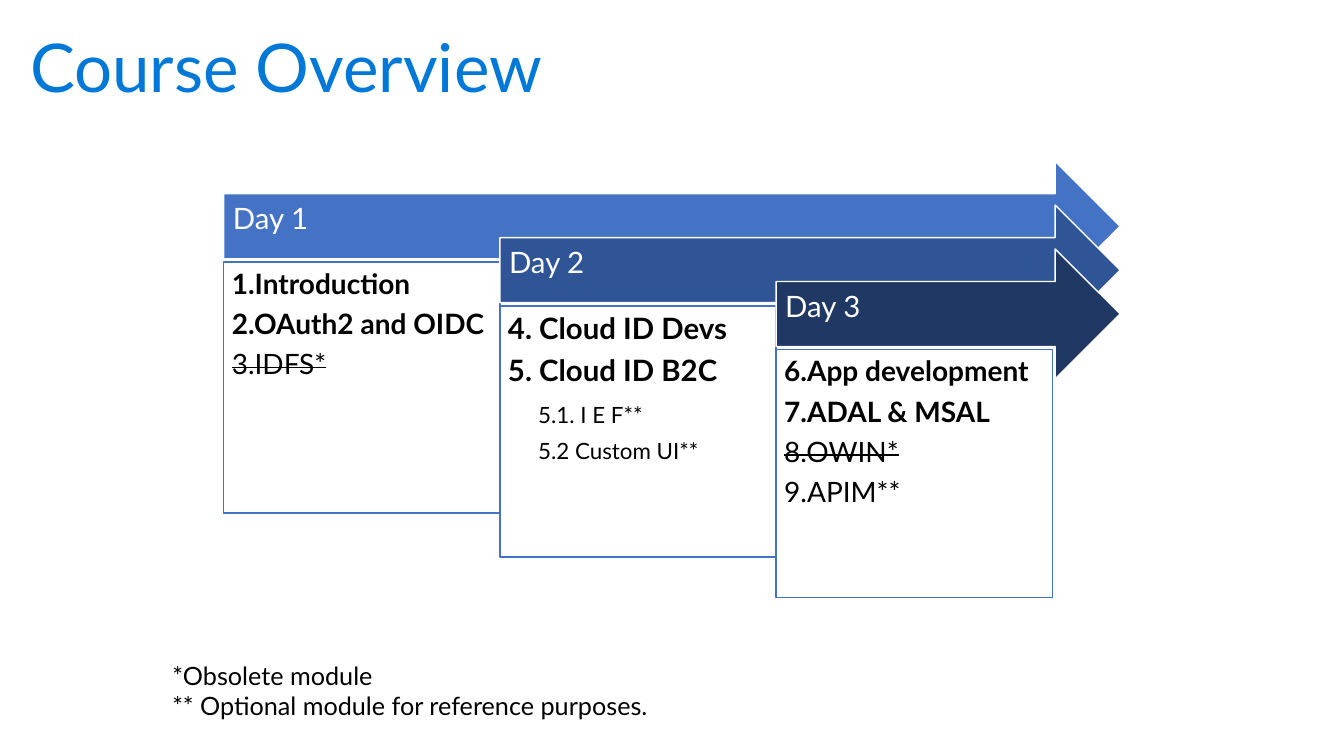
from dataclasses import dataclass

from pptx import Presentation
from pptx.dml.color import RGBColor
from pptx.enum.shapes import MSO_SHAPE
from pptx.enum.text import MSO_ANCHOR, PP_ALIGN
from pptx.util import Inches, Pt

ARROW, RECT = MSO_SHAPE.RIGHT_ARROW, MSO_SHAPE.RECTANGLE
TOP, MIDDLE = MSO_ANCHOR.TOP, MSO_ANCHOR.MIDDLE
LEFT = PP_ALIGN.LEFT
WIDTH, HEIGHT = 13.33, 7.5


@dataclass(frozen=True)
class Theme:
    font: str = "Lato"
    title: str = "0078D7"
    accent: str = "4472C4"
    days: tuple = ("4472C4", "2F5597", "203864")
    light: str = "FFFFFF"
    dark: str = "000000"
    title_size: int = 48
    label_size: int = 21
    sub_size: int = 16
    note_size: int = 18


@dataclass
class Line:
    text: str
    bold: bool = False
    strike: bool = False
    sub: bool = False


class Deck:
    """Places elements by percent of the slide's width and height."""

    def __init__(self, theme):
        self.theme = theme
        self.prs = Presentation()
        self.prs.slide_width, self.prs.slide_height = Inches(WIDTH), Inches(HEIGHT)
        self.s = self.prs.slides.add_slide(self.prs.slide_layouts[6])

    def box(self, x, y, w, h):
        return [Inches(v * side / 100)
                for v, side in ((x, WIDTH), (y, HEIGHT), (w, WIDTH), (h, HEIGHT))]

    def frame(self, sp, anchor, insets):
        tf = sp.text_frame
        tf.word_wrap = True
        tf.vertical_anchor = anchor
        tf.margin_left, tf.margin_top, tf.margin_right, tf.margin_bottom = map(Inches, insets)
        return tf

    def paragraph(self, tf, index, line, size, color, spacing=None):
        p = tf.add_paragraph() if index else tf.paragraphs[0]
        p.alignment = LEFT
        p.line_spacing = spacing
        p.font.name, p.font.size, p.font.bold = self.theme.font, Pt(size), line.bold
        p.font.color.rgb = RGBColor.from_string(color)
        r = p.add_run()
        r.text = line.text
        if line.strike:
            r._r.get_or_add_rPr().set("strike", "sngStrike")
        return p

    def text(self, area, texts, size, color, anchor=TOP, spacing=None):
        sp = self.s.shapes.add_textbox(*self.box(*area))
        tf = self.frame(sp, anchor, (0.1, 0.05, 0.1, 0.05))
        for i, text in enumerate(texts):
            self.paragraph(tf, i, Line(text), size, color, spacing)

    def shape(self, kind, area, fill, line):
        sp = self.s.shapes.add_shape(kind, *self.box(*area))
        sp.shadow.inherit = False
        sp.fill.solid()
        sp.fill.fore_color.rgb = RGBColor.from_string(fill)
        sp.line.color.rgb = RGBColor.from_string(line)
        sp.line.width = Pt(1)
        return sp

    def arrow(self, area, label, fill):
        t = self.theme
        sp = self.shape(ARROW, area, fill, t.light)
        tf = self.frame(sp, MIDDLE, (0.09, 0.09, 0.28, 0.21))
        self.paragraph(tf, 0, Line(label), t.label_size, t.light, 0.9)

    def card(self, area, lines, size):
        t = self.theme
        sp = self.shape(RECT, area, t.light, t.accent)
        tf = self.frame(sp, TOP, (0.08,) * 4)
        for i, line in enumerate(lines):
            p = self.paragraph(tf, i, line, t.sub_size if line.sub else size, t.dark, 0.9)
            p.space_after = Pt(0.35 * size)
            if line.sub:
                p.space_before, p.space_after = Pt(4.5), Pt(4.2)
                p._p.get_or_add_pPr().set("marL", str(Inches(0.3)))


# Day label, text size, card height, modules
DAYS = [
    ("Day 1", 20, 33.2, [
        Line("1.Introduction", bold=True),
        Line("2.OAuth2 and OIDC", bold=True),
        Line("3.IDFS*", strike=True)]),
    ("Day 2", 21, 33.2, [
        Line("4. Cloud ID Devs", bold=True),
        Line("5. Cloud ID B2C", bold=True),
        Line("5.1. I E F**", sub=True),
        Line("5.2 Custom UI**", sub=True)]),
    ("Day 3", 20, 32.8, [
        Line("6.App development", bold=True),
        Line("7.ADAL & MSAL", bold=True),
        Line("8.OWIN*", strike=True),
        Line("9.APIM**")]),
]

# Stair of days: each step moves one card right and a little down
START_X, START_Y, END_X = 16.65, 21.33, 83.35
STEP_X, STEP_Y = 20.55, 5.8
ARROW_H, CARD_DROP = 17.2, 13.33


def main():
    theme = Theme()
    deck = Deck(theme)

    # Title
    deck.text((1.5, 2.67, 97.45, 13.33), ["Course Overview"],
              theme.title_size, theme.title, MIDDLE, 0.9)

    # Arrows and module cards
    for i, (label, size, card_h, lines) in enumerate(DAYS):
        x, y = START_X + i * STEP_X, START_Y + i * STEP_Y
        deck.arrow((x, y, END_X - x, ARROW_H), label, theme.days[i])
        deck.card((x, y + CARD_DROP, STEP_X, card_h), lines, size)

    # Footnotes
    deck.text((12.08, 86.67, 82.3, 9.47),
              ["*Obsolete module", "** Optional module for reference purposes."],
              theme.note_size, theme.dark)

    deck.prs.save("out.pptx")


if __name__ == "__main__":
    main()
